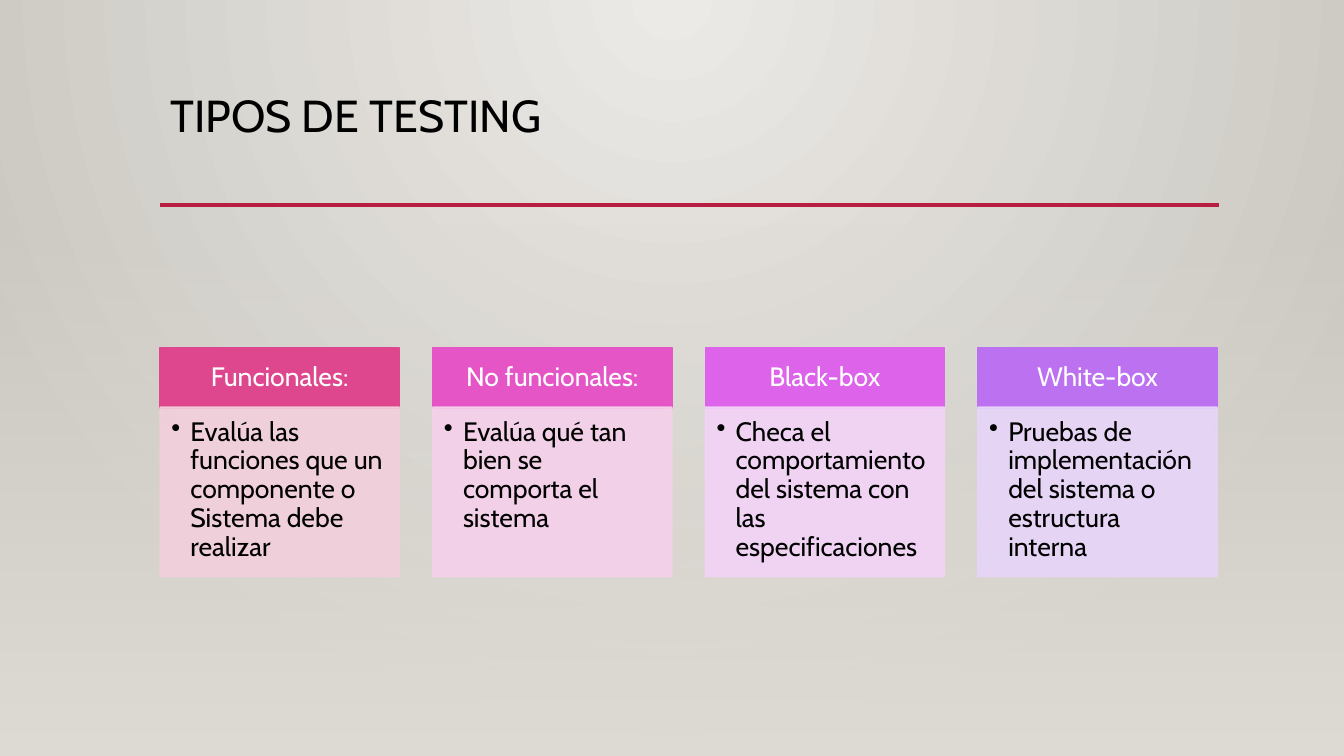
"""Build the slide on types of testing: a title, a rule and four cards."""
from dataclasses import dataclass
from typing import Any, NamedTuple

from pptx import Presentation
from pptx.dml.color import RGBColor
from pptx.enum.shapes import MSO_CONNECTOR, MSO_SHAPE
from pptx.enum.text import MSO_ANCHOR, MSO_AUTO_SIZE, PP_ALIGN
from pptx.oxml import parse_xml
from pptx.oxml.ns import nsdecls, qn
from pptx.oxml.xmlchemy import OxmlElement
from pptx.util import Cm, Pt

RECT = MSO_SHAPE.RECTANGLE
STRAIGHT = MSO_CONNECTOR.STRAIGHT
TOP, MIDDLE = MSO_ANCHOR.TOP, MSO_ANCHOR.MIDDLE
LEFT, CENTER = PP_ALIGN.LEFT, PP_ALIGN.CENTER
FIXED = MSO_AUTO_SIZE.NONE


@dataclass(frozen=True)
class Theme:
    font: str = "Cabin"
    title: float = 32
    text: float = 19
    edge: float = 1.25
    rule: float = 2.5
    ink: str = "000000"
    pale: str = "FFFFFF"
    accent: str = "B71E42"
    light: str = "ECEAE7"
    dark: str = "CAC7C1"
    haze: str = "DFDBD5"


class Box(NamedTuple):
    left: float
    top: float
    width: float
    height: float


class Card(NamedTuple):
    head: str
    body: str
    fill: str
    tint: str


THEME = Theme()
WIDE, HIGH = 33.87, 19.05
EDGE, PITCH, SPAN = 4.04, 6.87, 6.02
HEAD, BODY = (8.76, 1.52), (10.26, 4.27)
RULE = 5.16
CARDS = (
    Card("Funcionales:",
         "Evalúa las funciones que un componente o Sistema debe realizar",
         "DE478E", "F2CFDB"),
    Card("No funcionales:", "Evalúa qué tan bien se comporta el sistema",
         "E555C6", "F5D1EB"),
    Card("Black-box",
         "Checa el comportamiento del sistema con las especificaciones",
         "DD63EB", "F3D3F7"),
    Card("White-box",
         "Pruebas de implementación del sistema o estructura interna",
         "BC72F0", "E7D5F9"),
)
HEAD_FRAME = {"margin_left": Cm(0.38), "margin_right": Cm(0.38),
              "margin_top": Cm(0.2), "margin_bottom": Cm(0.2),
              "vertical_anchor": MIDDLE, "word_wrap": True}
BODY_FRAME = {"margin_left": Cm(0.28), "margin_right": Cm(0.38),
              "margin_top": Cm(0.28), "margin_bottom": Cm(0.43),
              "vertical_anchor": TOP, "word_wrap": True}
TITLE_FRAME = {"vertical_anchor": TOP, "word_wrap": True, "auto_size": FIXED}


def dress(item: Any, form: dict[str, Any]) -> None:
    for name, value in form.items():
        setattr(item, name, value)


def rgb(code: str) -> RGBColor:
    return RGBColor.from_string(code)


def fade(node: Any, share: int) -> None:
    alpha = OxmlElement("a:alpha")
    alpha.set("val", str(share * 1000))
    node.append(alpha)


def blend(fill: Any, first: str, last: str) -> None:
    fill.gradient()
    for stop, code in zip(fill.gradient_stops, (first, last)):
        stop.color.rgb = rgb(code)


def write(frame: Any, text: str, form: dict[str, Any], align: Any,
          size: float, ink: str) -> Any:
    dress(frame, form)
    frame.text = text
    para = frame.paragraphs[0]
    dress(para, {"alignment": align, "line_spacing": 0.9})
    dress(para.runs[0].font, {"name": THEME.font, "size": Pt(size)})
    para.runs[0].font.color.rgb = rgb(ink)
    return para


def bullet(para: Any) -> None:
    props = para._p.get_or_add_pPr()
    props.set("marL", str(Cm(0.48)))
    props.set("indent", str(-Cm(0.48)))
    mark = OxmlElement("a:buChar")
    mark.set("char", "•")
    props.append(mark)


def block(slide: Any, box: Box) -> Any:
    shape = slide.shapes.add_shape(RECT, *map(Cm, box))
    shape.shadow.inherit = False
    return shape


def panel(slide: Any, box: Box, code: str, share: int = 100) -> Any:
    shape = block(slide, box)
    shape.fill.solid()
    shape.fill.fore_color.rgb = rgb(code)
    shape.line.color.rgb = rgb(code)
    shape.line.width = Pt(THEME.edge)
    if share < 100:
        for node in shape._element.spPr.iter(qn("a:srgbClr")):
            fade(node, share)
    return shape


def scene(slide: Any) -> None:
    blend(slide.background.fill, THEME.light, THEME.dark)
    grad = slide.element.find(".//" + qn("a:gradFill"))
    glow = parse_xml(f'<a:path {nsdecls("a")} path="circle"><a:fillToRect '
                     'l="43000" t="0" r="43000" b="100000"/></a:path>')
    grad.replace(grad.find(qn("a:lin")), glow)

    haze = block(slide, Box(0, 5.61, WIDE, HIGH - 5.61))
    haze.line.fill.background()
    blend(haze.fill, THEME.haze, THEME.haze)
    haze.fill.gradient_angle = 270
    fade(next(haze._element.spPr.iter(qn("a:srgbClr"))), 0)


def header(slide: Any) -> None:
    title = slide.shapes.title
    spot = Box(EDGE, 2.24, 26.67, 2.92)
    dress(title, {name: Cm(size) for name, size in spot._asdict().items()})
    write(title.text_frame, "TIPOS DE TESTING", TITLE_FRAME, LEFT,
          THEME.title, THEME.ink)
    rule = slide.shapes.add_connector(
        STRAIGHT, Cm(EDGE), Cm(RULE), Cm(EDGE + 26.67), Cm(RULE))
    rule.line.color.rgb = rgb(THEME.accent)
    rule.line.width = Pt(THEME.rule)
    rule._element.spPr.append(OxmlElement("a:effectLst"))


def draw(slide: Any, card: Card, left: float) -> None:
    head = panel(slide, Box(left, HEAD[0], SPAN, HEAD[1]), card.fill)
    write(head.text_frame, card.head, HEAD_FRAME, CENTER,
          THEME.text, THEME.pale)
    body = panel(slide, Box(left, BODY[0], SPAN, BODY[1]), card.tint, 90)
    bullet(write(body.text_frame, card.body, BODY_FRAME, LEFT,
                 THEME.text, THEME.ink))


def main() -> None:
    deck = Presentation()
    dress(deck, {"slide_width": Cm(WIDE), "slide_height": Cm(HIGH)})
    slide = deck.slides.add_slide(deck.slide_layouts[5])
    scene(slide)
    header(slide)
    for index, card in enumerate(CARDS):
        draw(slide, card, EDGE + index * PITCH)
    deck.save("out.pptx")


if __name__ == "__main__":
    main()
